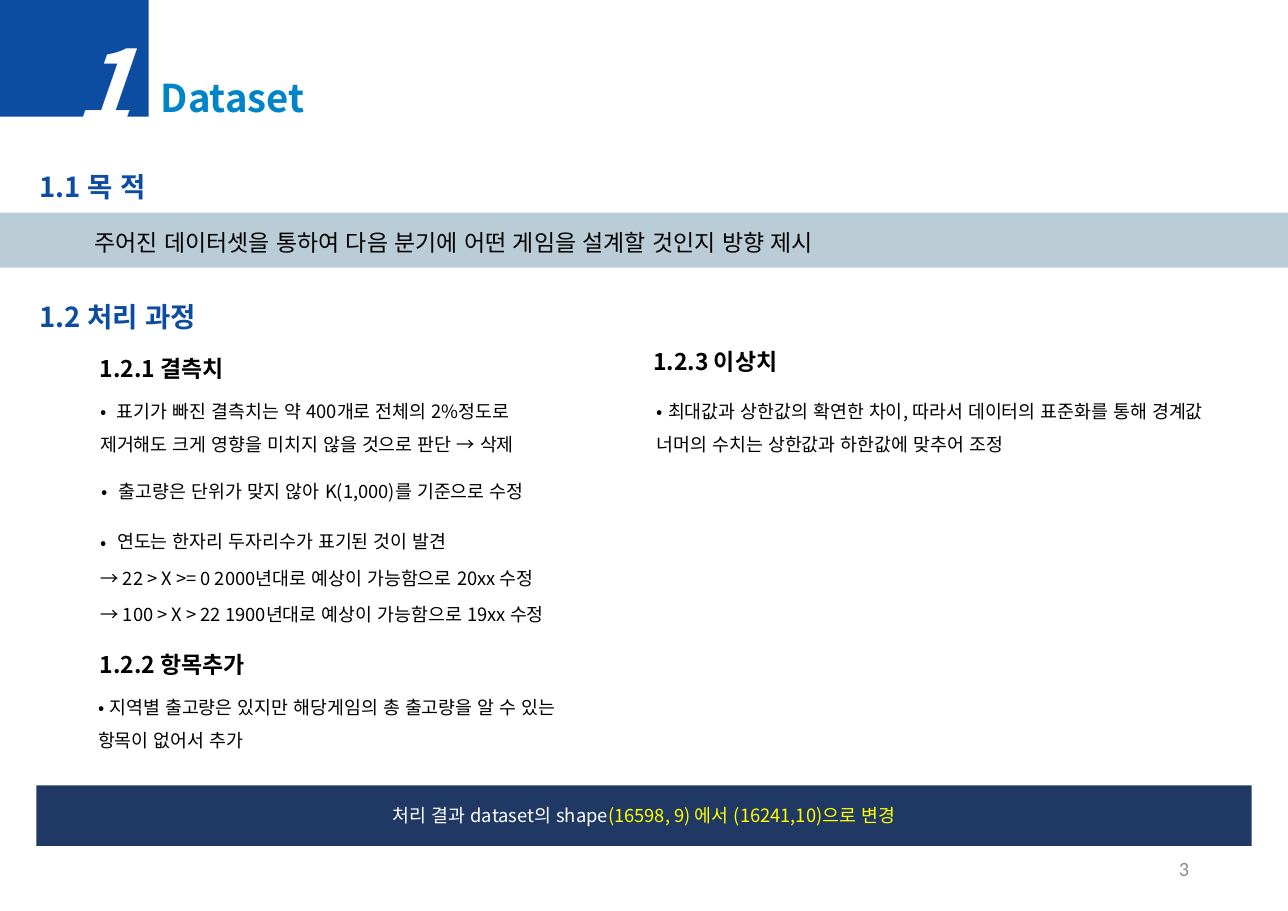
from dataclasses import dataclass

from lxml import etree
from pptx import Presentation
from pptx.dml.color import RGBColor
from pptx.enum import shapes, text
from pptx.oxml import ns
from pptx.util import Pt


@dataclass(frozen=True)
class Theme:
    font: str = "Noto Sans CJK KR"
    page_font: str = "Calibri"
    blue: str = "0C4DA2"
    sky: str = "0084C9"
    band: str = "BACDD6"
    navy: str = "203864"
    black: str = "000000"
    white: str = "FFFFFF"
    yellow: str = "FFFF00"
    grey: str = "8C8C8C"
    number: float = 65
    title: float = 25
    section: float = 18
    topic: float = 15
    body: float = 12
    page: float = 13.2


class Deck:
    def __init__(self, theme, width, height):
        self.theme = theme
        self.prs = Presentation()
        self.prs.slide_width, self.prs.slide_height = Pt(width), Pt(height)
        self.slide = None

    def new_slide(self):
        self.slide = self.prs.slides.add_slide(self.prs.slide_layouts[5])

    def run(self, p, words, size, color, bold=False, italic=False, font=None):
        r = p.add_run()
        r.text = words
        f = r.font
        f.size, f.bold, f.italic = Pt(size), bold, italic
        f.color.rgb = RGBColor.from_string(color)
        f.name = font or self.theme.font
        rPr = r._r.get_or_add_rPr()
        rPr.set("lang", "ko-KR")
        etree.SubElement(rPr, ns.qn("a:ea")).set("typeface", f.name)

    def frame(self, sp, anchor=text.MSO_ANCHOR.MIDDLE):
        tf = sp.text_frame
        tf.word_wrap = True
        tf.auto_size = text.MSO_AUTO_SIZE.NONE
        tf.vertical_anchor = anchor
        return tf

    def title(self, words, *box):
        sp = self.slide.shapes.title
        sp.left, sp.top, sp.width, sp.height = map(Pt, box)
        p = self.frame(sp).paragraphs[0]
        p.alignment = text.PP_ALIGN.LEFT
        self.run(p, words, self.theme.title, self.theme.sky, bold=True)

    def label(self, words, box, size, color, align=text.PP_ALIGN.LEFT, **style):
        sp = self.slide.shapes.add_textbox(*map(Pt, box))
        p = self.frame(sp).paragraphs[0]
        p.alignment = align
        self.run(p, words, size, color, **style)

    def shape(self, kind, box, fill=None):
        sp = self.slide.shapes.add_shape(kind, *map(Pt, box))
        sp.shadow.inherit = False
        sp.line.fill.background()
        if fill:
            sp.fill.solid()
            sp.fill.fore_color.rgb = RGBColor.from_string(fill)
        else:
            sp.fill.background()
        return sp

    def rect(self, box, fill):
        return self.shape(shapes.MSO_SHAPE.RECTANGLE, box, fill)

    def banner(self, box, fill, runs):
        p = self.frame(self.rect(box, fill)).paragraphs[0]
        p.alignment = text.PP_ALIGN.CENTER
        for words, color in runs:
            self.run(p, words, self.theme.body, color)

    def note(self, box, lines, size=None, spacing=1.5):
        """Unfilled text block; each line is (words, bullet, tab stop)."""
        size = size or self.theme.body
        sp = self.shape(shapes.MSO_SHAPE.ROUNDED_RECTANGLE, box)
        tf = self.frame(sp, text.MSO_ANCHOR.TOP)
        tf.auto_size = text.MSO_AUTO_SIZE.SHAPE_TO_FIT_TEXT
        tf.margin_left = tf.margin_right = Pt(2.9)
        tf.margin_top = tf.margin_bottom = 0
        for i, (words, bullet, tab) in enumerate(lines):
            p = tf.add_paragraph() if i else tf.paragraphs[0]
            p.alignment = text.PP_ALIGN.LEFT
            p.line_spacing = spacing
            p.space_before = Pt(size * 0.2)
            self.marker(p, bullet, tab)
            self.run(p, words, size, self.theme.black)

    def marker(self, p, bullet, tab):
        pPr = p._p.get_or_add_pPr()
        pPr.set("marL", "0")
        pPr.set("indent", "0")
        if bullet:
            etree.SubElement(pPr, ns.qn("a:buFont")).set("typeface", self.theme.font)
            etree.SubElement(pPr, ns.qn("a:buChar")).set("char", "•")
        else:
            etree.SubElement(pPr, ns.qn("a:buNone"))
        if tab:
            tabs = etree.SubElement(pPr, ns.qn("a:tabLst"))
            stop = etree.SubElement(tabs, ns.qn("a:tab"))
            stop.set("pos", str(Pt(tab)))
            stop.set("algn", "l")


def main():
    th = Theme()
    deck = Deck(th, 841.7, 595.4)
    deck.new_slide()
    label_h = 33.8
    note_w = 324.7
    bullet_tab = 11

    deck.rect((0, 139, 841.7, 36), th.band)
    deck.rect((0, 0, 97.2, 76.3), th.blue)
    deck.title("Dataset", 97.9, 46.4, 720, label_h)
    deck.label("1", (41, 37.4, 442, label_h), th.number, th.white,
               bold=True, italic=True)

    for words, top in (("1.1 목 적", 105.1), ("1.2 처리 과정", 190.1)):
        deck.label(words, (18.7, top, 799, label_h), th.section, th.blue, bold=True)
    for words, left, top in (("1.2.1 결측치", 58, 223.9),
                             ("1.2.2 항목추가", 58, 417.2),
                             ("1.2.3 이상치", 419.8, 219.2)):
        deck.label(words, (left, top, 363, label_h), th.topic, th.black, bold=True)

    deck.note((58, 150.5, 759.6, 18.7),
              [("주어진 데이터셋을 통하여 다음 분기에 어떤 게임을 설계할 것인지 방향 제시",
                False, None)], size=th.topic, spacing=Pt(16))
    deck.note((59, 250.6, note_w, 73.4),
              [("\t표기가 빠진 결측치는 약 400개로 전체의 2%정도로 제거해도 크게 "
                "영향을 미치지 않을 것으로 판단 → 삭제", True, bullet_tab)])
    deck.note((62.6, 305.3, note_w, 22.3),
              [("\t출고량은 단위가 맞지 않아 K(1,000)를 기준으로 수정", True, bullet_tab)])
    deck.note((59, 335.5, note_w, 77),
              [("\t연도는 한자리 두자리수가 표기된 것이 발견", True, bullet_tab),
               ("→ 22 > X >= 0 2000년대로 예상이 가능함으로 20xx 수정", False, None),
               ("→ 100 > X > 22 1900년대로 예상이 가능함으로 19xx 수정", False, None)])
    deck.note((59, 445.3, note_w, 46.1),
              [(" 지역별 출고량은 있지만 해당게임의 총 출고량을 알 수 있는 "
                "항목이 없어서 추가", True, None)])
    deck.note((424.1, 252, 393.8, 46.1),
              [(" 최대값과 상한값의 확연한 차이, 따라서 데이터의 표준화를 통해 경계값 "
                "너머의 수치는 상한값과 하한값에 맞추어 조정", True, None)])

    deck.banner((23.8, 513.2, 794.2, 39.6), th.navy,
                [("처리 결과 dataset의 shape", th.white),
                 ("(16598, 9) 에서 (16241,10)으로 변경", th.yellow)])
    deck.label("3", (594.7, 551.5, 189.4, 31.7), th.page, th.grey,
               align=text.PP_ALIGN.RIGHT, font=th.page_font)

    deck.prs.save("out.pptx")


if __name__ == "__main__":
    main()
